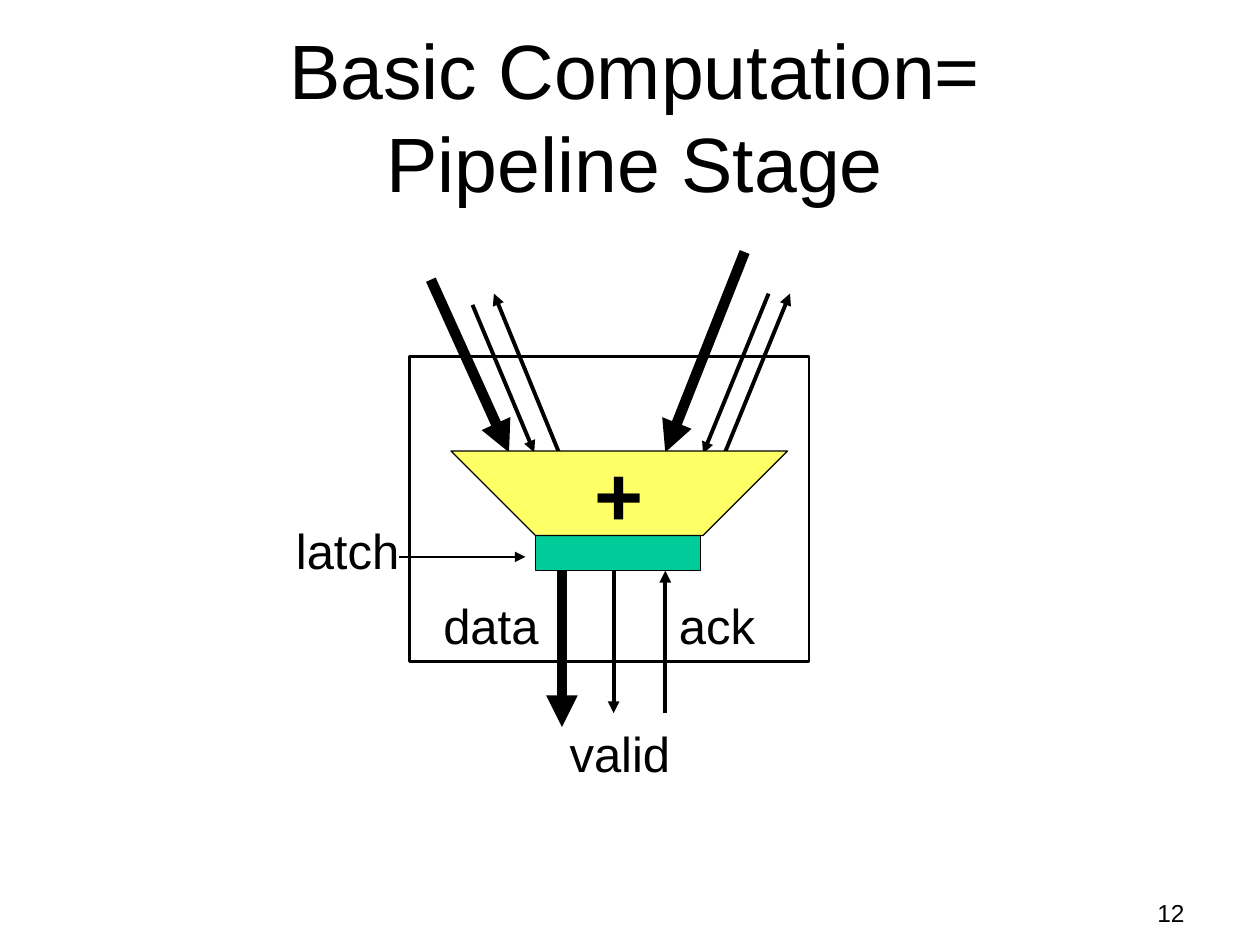
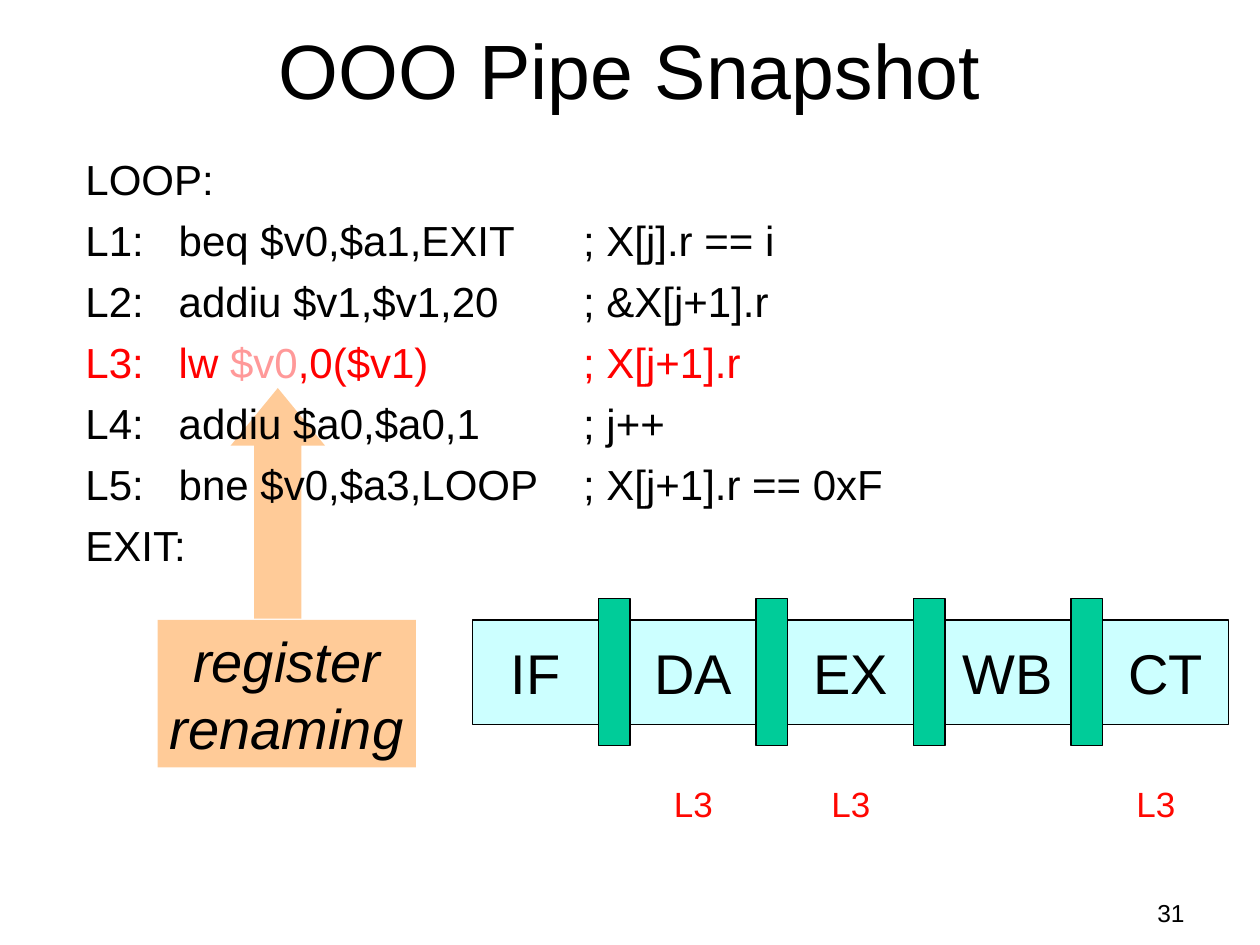
from lxml import etree
from pptx import Presentation
from pptx import util as u
from pptx.dml.color import RGBColor
from pptx.enum import shapes as s, text as t
from pptx.oxml.ns import qn

BLACK = RGBColor(0, 0, 0)
RED = RGBColor(0xFF, 0, 0)
MARK = RGBColor(0xFF, 0x07, 0x01)
PINK = RGBColor(0xFF, 0x99, 0x99)
GREEN = RGBColor(0, 0xCC, 0x99)
CYAN = RGBColor(0xCC, 0xFF, 0xFF)
YELLOW = RGBColor(0xFF, 0xFF, 0x66)
ORANGE = RGBColor(0xFF, 0x99, 0x33)
LEFT, MID, RIGHT = t.PP_ALIGN.LEFT, t.PP_ALIGN.CENTER, t.PP_ALIGN.RIGHT
RECT = s.MSO_SHAPE.RECTANGLE


def write(frame, lines, size, align=LEFT, wrap=False, middle=False, gap=0, **style):
    """Fill a text frame; each line is a list of (text, colour) runs."""
    frame.word_wrap = wrap
    frame.vertical_anchor = t.MSO_ANCHOR.MIDDLE if middle else t.MSO_ANCHOR.TOP
    form = {"name": "Arial", "size": u.Pt(size), **style}
    for i, line in enumerate(lines):
        para = frame.add_paragraph() if i else frame.paragraphs[0]
        para.alignment = align
        if i and gap:
            para.space_before = u.Pt(gap)
        for words, tint in line:
            for j, part in enumerate(words.split("\n")):
                if j:
                    para.add_line_break()
                run = para.add_run()
                run.text = part
                run.font.color.rgb = tint
                for key, val in form.items():
                    setattr(run.font, key, val)


def paint(shape, fill=None, width=0.75, alpha=None):
    """Set fill and outline; no fill or zero width leaves that part out."""
    shape.shadow.inherit = False
    if fill is None:
        shape.fill.background()
    else:
        shape.fill.solid()
        shape.fill.fore_color.rgb = fill
    if alpha:
        tint = shape._element.spPr.find(qn("a:solidFill"))[0]
        etree.SubElement(tint, qn("a:alpha"), val=str(alpha * 1000))
    if width:
        shape.line.color.rgb = BLACK
        shape.line.width = u.Pt(width)
    else:
        shape.line.fill.background()
    return shape


deck = Presentation()
deck.slide_width, deck.slide_height = u.Inches(10), u.Inches(7.5)

# Title and page number
pages = []
for title, at, num in [
    ("Basic Computation=\nPipeline Stage", (0.75, 0.5, 8.58, 0.83), "12"),
    ("OOO Pipe Snapshot", (0.75, 0.17, 8.5, 0.75), "31"),
]:
    page = deck.slides.add_slide(deck.slide_layouts[6])
    box = page.shapes.add_textbox(*map(u.Inches, at))
    write(box.text_frame, [[(title, BLACK)]], 44, MID, wrap=True, middle=True)
    box = page.shapes.add_textbox(*map(u.Inches, (9, 7.08, 0.5, 0.42)))
    write(box.text_frame, [[(num, BLACK)]], 14, RIGHT, wrap=True)
    pages.append(page.shapes)
stage, snap = pages

# Pipeline stage: data, valid and ack arrows
THICK, THIN, FINE = 6, 2.25, 0.75
for x1, y1, x2, y2, width in [
    (4.46, 4.5, 4.46, 5.77, THICK),
    (4.87, 4.5, 4.87, 5.66, THIN),
    (5.28, 5.66, 5.28, 4.53, THIN),
    (5.75, 3.6, 6.27, 2.33, THIN),
    (5.91, 2, 5.28, 3.59, THICK),
    (6.1, 2.33, 5.58, 3.6, THIN),
    (4.44, 3.6, 3.92, 2.33, THIN),
    (3.42, 2.22, 4.04, 3.59, THICK),
    (3.75, 2.42, 4.24, 3.59, THIN),
    (3.17, 4.42, 4.17, 4.42, FINE),
]:
    arrow = stage.add_connector(
        s.MSO_CONNECTOR.STRAIGHT, *map(u.Inches, (x1, y1, x2, y2)))
    arrow.line.color.rgb = BLACK
    arrow.line.width = u.Pt(width)
    etree.SubElement(arrow.line._get_or_add_ln(), qn("a:tailEnd"), type="triangle")
    etree.SubElement(arrow._element.spPr, qn("a:effectLst"))

for name, at, align in [
    ("data", (3.42, 4.68, 1, 0.57), LEFT),
    ("valid", (4.42, 5.69, 1, 0.57), MID),
    ("ack", (5.29, 4.68, 0.85, 0.57), LEFT),
    ("latch", (2.25, 4.08, 1.05, 0.57), LEFT),
]:
    box = stage.add_textbox(*map(u.Inches, at))
    write(box.text_frame, [[(name, BLACK)]], 28, align, wrap=True)

latch = stage.add_shape(RECT, *map(u.Inches, (4.25, 4.25, 1.31, 0.28)))
paint(latch, GREEN)
frame = stage.add_shape(RECT, *map(u.Inches, (3.25, 2.83, 3.17, 2.42)))
paint(frame, width=1.5)
edge = stage.build_freeform(u.Inches(3.58), u.Inches(3.58))
edge.add_line_segments(
    [(u.Inches(x), u.Inches(y)) for x, y in [(6.25, 3.58), (5.58, 4.25), (4.25, 4.25)]])
adder = paint(edge.convert_to_shape(), YELLOW)
write(adder.text_frame, [[("+", BLACK)]], 48, MID, middle=True, bold=True)

# Snapshot: five steps with a latch between neighbours
STEPS = ["IF", "DA", "EX", "WB", "CT"]
for i, name in enumerate(STEPS):
    x = 3.75 + 1.25 * i
    step = snap.add_shape(RECT, *map(u.Inches, (x, 4.92, 1, 0.83)))
    paint(step, CYAN)
    write(step.text_frame, [[(name, BLACK)]], 32, MID, middle=True)
    if i < len(STEPS) - 1:
        latch = snap.add_shape(RECT, *map(u.Inches, (x + 1, 4.75, 0.25, 1.17)))
        paint(latch, GREEN)

for x in (5.25, 6.5, 8.92):
    box = snap.add_textbox(*map(u.Inches, (x, 6.16, 0.51, 0.43)))
    write(box.text_frame, [[("L3", MARK)]], 20)

# Renaming note, pointing at the loaded register
arrow = snap.add_shape(s.MSO_SHAPE.UP_ARROW, *map(u.Inches, (1.83, 3.08, 0.75, 1.83)))
arrow.adjustments[0], arrow.adjustments[1] = 0.5, 0.61
paint(arrow, ORANGE, 0, alpha=50)
note = snap.add_shape(RECT, *map(u.Inches, (1.25, 4.92, 2.05, 1.17)))
paint(note, ORANGE, 0, alpha=50)
write(note.text_frame, [[("register", BLACK)], [("renaming", BLACK)]], 32, MID,
      italic=True)

# Loop listing, with tab stops for code and remarks
code = [
    [("LOOP:", BLACK)],
    [("L1:\tbeq $v0,$a1,EXIT\t; X[j].r == i", BLACK)],
    [("L2:\taddiu $v1,$v1,20\t; &X[j+1].r", BLACK)],
    [("L3:\tlw ", RED), ("$v0", PINK), (",0($v1)\t; X[j+1].r", RED)],
    [("L4:\taddiu $a0,$a0,1\t; j++", BLACK)],
    [("L5:\tbne $v0,$a3,LOOP\t; X[j+1].r == 0xF", BLACK)],
    [("EXIT:", BLACK)],
]
box = snap.add_textbox(*map(u.Inches, (0.58, 1.17, 7.42, 3.42)))
write(box.text_frame, code, 24, wrap=True, gap=6)
for para in box.text_frame.paragraphs:
    tabs = etree.SubElement(para._p.get_or_add_pPr(), qn("a:tabLst"))
    for stop in (0.74, 3.95):
        etree.SubElement(tabs, qn("a:tab"), pos=str(u.Inches(stop)), algn="l")

deck.save("out.pptx")
